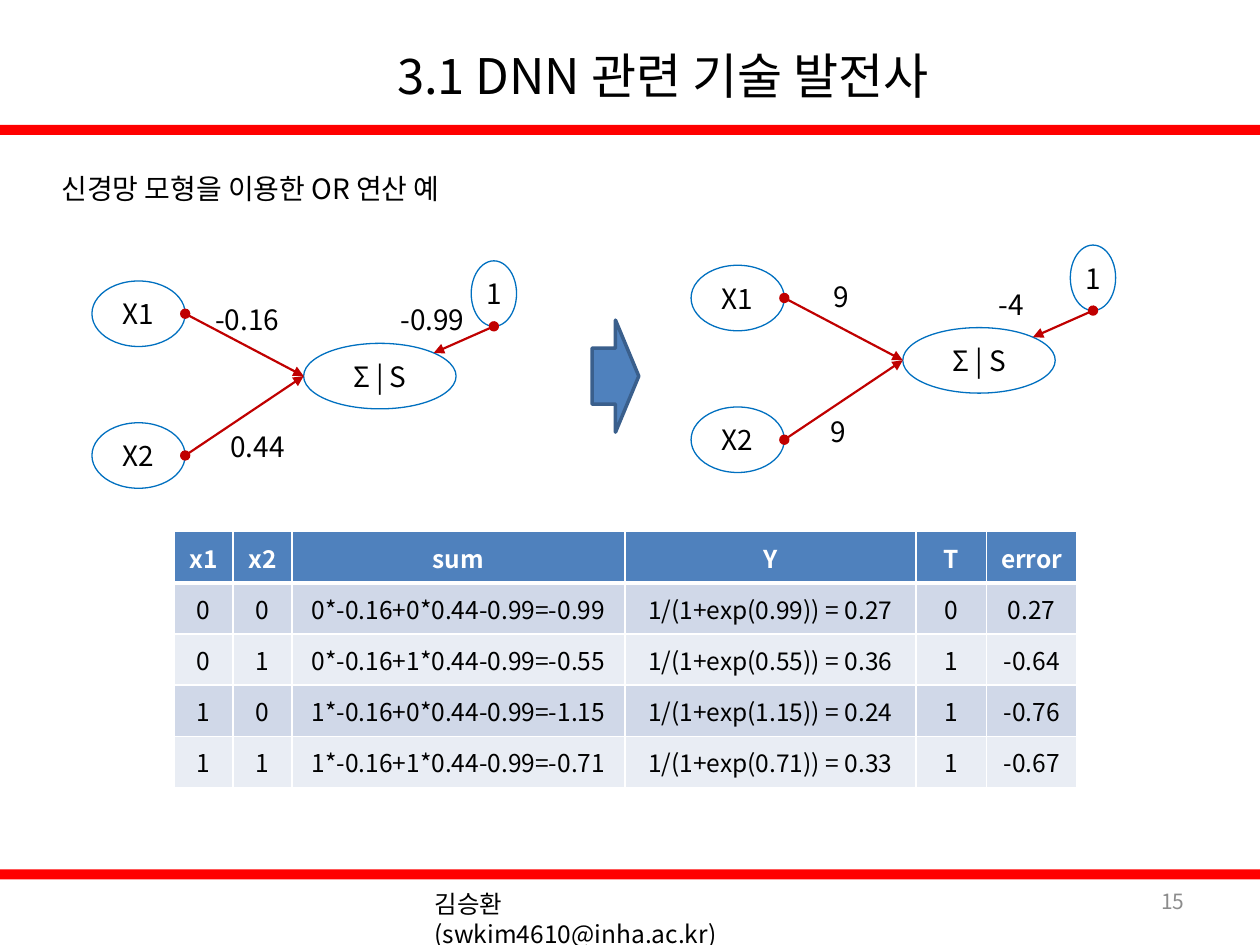
from dataclasses import dataclass
from math import sqrt

from lxml import etree
from pptx import Presentation
from pptx.dml.color import RGBColor
from pptx.enum.shapes import MSO_CONNECTOR, MSO_SHAPE
from pptx.enum.text import MSO_ANCHOR, PP_ALIGN
from pptx.oxml.ns import qn
from pptx.util import Inches, Pt

LEFT, MID, RIGHT = PP_ALIGN.LEFT, PP_ALIGN.CENTER, PP_ALIGN.RIGHT
TOP, CENTER = MSO_ANCHOR.TOP, MSO_ANCHOR.MIDDLE
RECT, OVAL, ARROW = MSO_SHAPE.RECTANGLE, MSO_SHAPE.OVAL, MSO_SHAPE.RIGHT_ARROW
FONT = "Noto Sans CJK KR"
BLACK, WHITE, RED, BLUE = "000000", "FFFFFF", "FF0000", "4F81BD"
RING, WIRE = "0070C0", "C00000"
BANDS = ["D0D8E8", "E9EDF4"]

prs = Presentation()
prs.slide_width, prs.slide_height = Inches(10), Inches(7.5)
# The grid has 100 columns and 75 rows.
COL, ROW = prs.slide_width / 100, prs.slide_height / 75
slide = prs.slides.add_slide(prs.slide_layouts[6])


@dataclass
class Box:
    x: float
    y: float
    w: float
    h: float

    def place(self) -> tuple:
        return round(self.x * COL), round(self.y * ROW), round(self.w * COL), round(self.h * ROW)

    def site(self, dx: float, dy: float) -> tuple:
        """Point at dx, dy half-sizes from the centre."""
        return self.x + self.w * (1 + dx) / 2, self.y + self.h * (1 + dy) / 2


@dataclass
class Label:
    text: str
    x: float
    y: float
    w: float


@dataclass
class Net:
    x: float
    y: float
    labels: list[Label]


def color(code: str) -> RGBColor:
    return RGBColor.from_string(code)


def write(frame, text: str, *, size=16, ink=BLACK, bold=False, align=LEFT,
          anchor=TOP, wrap=True) -> None:
    frame.word_wrap = wrap
    frame.vertical_anchor = anchor
    par = frame.paragraphs[0]
    par.alignment = align
    run = par.add_run()
    run.text = text
    font = run.font
    font.name, font.size, font.bold = FONT, Pt(size), bold
    font.color.rgb = color(ink)
    etree.SubElement(font._element, qn("a:ea")).set("typeface", FONT)


def note(box: Box, text: str, **form) -> None:
    write(slide.shapes.add_textbox(*box.place()).text_frame, text, **form)


def draw(kind, box: Box, fill="", line="", width=0.75):
    shape = slide.shapes.add_shape(kind, *box.place())
    shape.shadow.inherit = False
    if fill:
        shape.fill.solid()
        shape.fill.fore_color.rgb = color(fill)
    else:
        shape.fill.background()
    if line:
        shape.line.color.rgb = color(line)
        shape.line.width = Pt(width)
    else:
        shape.line.fill.background()
    return shape


def node(text: str, box: Box) -> Box:
    write(draw(OVAL, box, line=RING).text_frame, text, align=MID, anchor=CENTER, wrap=False)
    return box


def link(start: tuple, end: tuple) -> None:
    ends = [round(v * unit) for point in (start, end) for v, unit in zip(point, (COL, ROW))]
    wire = slide.shapes.add_connector(MSO_CONNECTOR.STRAIGHT, *ends)
    wire.line.color.rgb = color(WIRE)
    wire.line.width = Pt(1.25)
    ln = wire.line._get_or_add_ln()
    for tag, head in (("a:headEnd", "oval"), ("a:tailEnd", "triangle")):
        etree.SubElement(ln, qn(tag)).set("type", head)
    etree.SubElement(wire._element.spPr, qn("a:effectLst"))


def draw_net(net: Net) -> None:
    x, y = net.x, net.y
    inputs = [node(f"X{i + 1}", Box(x, y + 1.6 + 11.25 * i, 7.4, 5.2)) for i in range(2)]
    total = node("Σ | S", Box(x + 16.8, y + 6.55, 12.1, 5.2))
    bias = node("1", Box(x + 30.1, y, 3.6, 5.2))
    for item in inputs:
        link(item.site(1, 0), total.site(-1, 0))
    link(bias.site(0, 1), total.site(sqrt(0.5), -sqrt(0.5)))
    for tag in net.labels:
        note(Box(x + tag.x, y + tag.y, tag.w, 3.7), tag.text, wrap=False)


def edge(cell, side: str, width: float) -> None:
    line = etree.SubElement(cell._tc.get_or_add_tcPr(), qn(f"a:{side}"), w=str(Pt(width)))
    fill = etree.SubElement(line, qn("a:solidFill"))
    etree.SubElement(fill, qn("a:srgbClr"), val=WHITE)


def draw_table(box: Box, widths: list[float], rows: list[list[str]]) -> None:
    table = slide.shapes.add_table(len(rows), len(widths), *box.place()).table
    for col, width in zip(table.columns, widths):
        col.width = round(width * COL)
    for r, row in enumerate(rows):
        head = r == 0
        for c, text in enumerate(row):
            cell = table.cell(r, c)
            for side in ("lnL", "lnR", "lnT", "lnB"):
                thick = (head and side == "lnB") or (r == 1 and side == "lnT")
                edge(cell, side, 3 if thick else 1)
            cell.fill.solid()
            cell.fill.fore_color.rgb = color(BLUE if head else BANDS[(r - 1) % 2])
            cell.vertical_anchor = CENTER
            write(cell.text_frame, text, size=14, ink=WHITE if head else BLACK,
                  bold=head, align=MID, anchor=CENTER)


NETS = [
    Net(7.3, 20.7, [Label("-0.16", 8.8, 2.8, 7.7), Label("0.44", 10, 12.9, 6.8),
                    Label("-0.99", 23.5, 2.8, 7.7)]),
    Net(54.85, 19.45, [Label("9", 10.35, 2.25, 3.3), Label("9", 10.05, 12.95, 3.3),
                       Label("-4", 23.45, 2.85, 4.2)]),
]
ROWS = [
    ["x1", "x2", "sum", "Y", "T", "error"],
    ["0", "0", "0*-0.16+0*0.44-0.99=-0.99", "1/(1+exp(0.99)) = 0.27", "0", "0.27"],
    ["0", "1", "0*-0.16+1*0.44-0.99=-0.55", "1/(1+exp(0.55)) = 0.36", "1", "-0.64"],
    ["1", "0", "1*-0.16+0*0.44-0.99=-1.15", "1/(1+exp(1.15)) = 0.24", "1", "-0.76"],
    ["1", "1", "1*-0.16+1*0.44-0.99=-0.71", "1/(1+exp(0.71)) = 0.33", "1", "-0.67"],
]

for top in (9.9, 69):
    draw(RECT, Box(0, top, 100, 0.8), fill=RED)
note(Box(10.1, -2.1, 85, 16.1), "3.1 DNN 관련 기술 발전사", size=28, align=MID, anchor=CENTER)
note(Box(71.7, 69.5, 23.3, 4), "15", size=12, ink="8C8C8C", align=RIGHT, anchor=CENTER)
note(Box(33.5, 70.1, 29.2, 3.4), "김승환(swkim4610@inha.ac.kr)", size=14)
note(Box(3.9, 13.1, 93.7, 3.7), "신경망 모형을 이용한 OR 연산 예")
for net in NETS:
    draw_net(net)
draw(ARROW, Box(47, 25.4, 3.7, 8.9), fill=BLUE, line="3A5F8C", width=2)
draw_table(Box(13.8, 42.2, 71.7, 20.3), [4.7, 4.7, 26.4, 23.1, 5.6, 7.2], ROWS)
prs.save("out.pptx")
